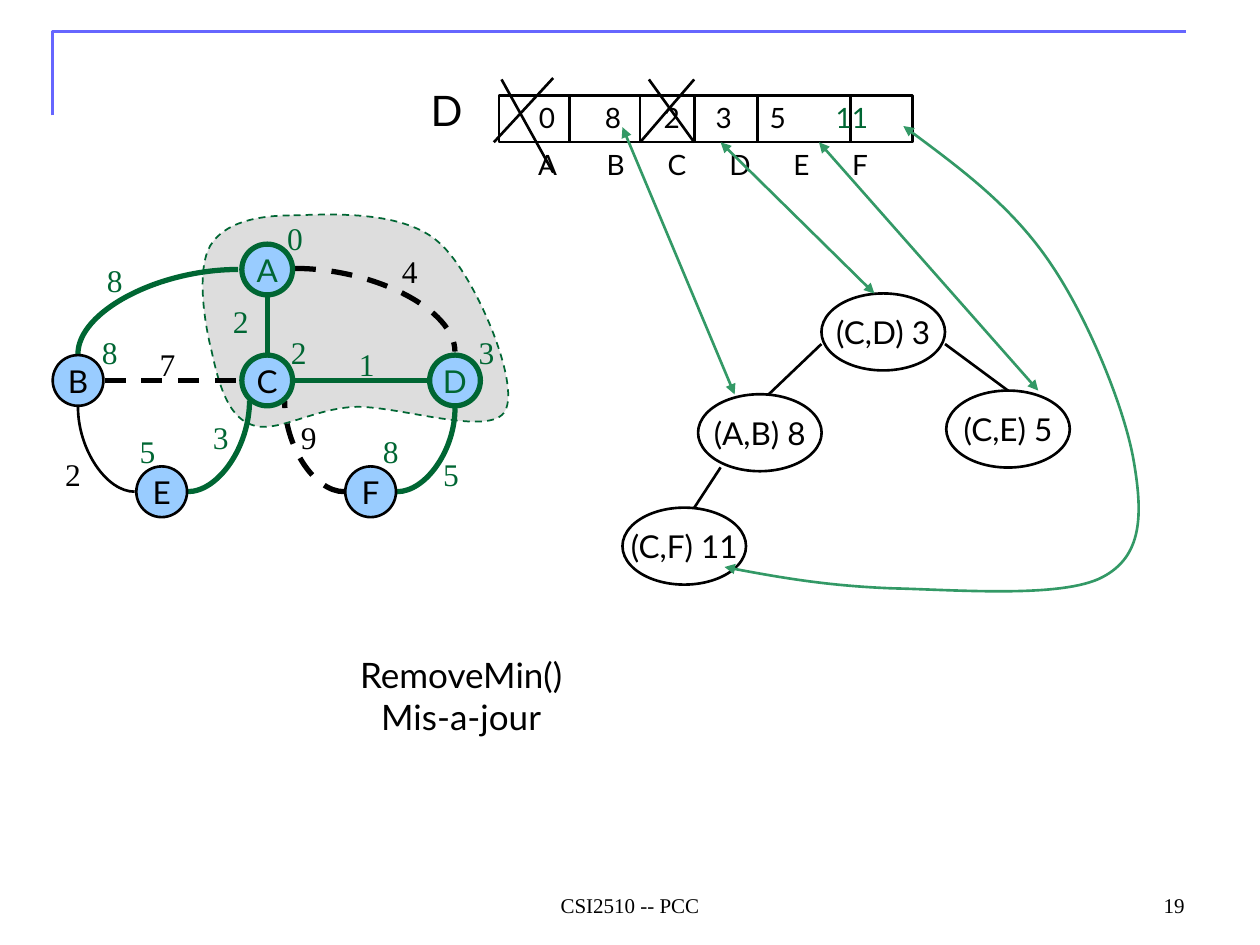
import pptx
import pptx.dml.color
import pptx.enum.dml
import pptx.enum.shapes
import pptx.enum.text
import pptx.oxml.ns
import pptx.util
from lxml import etree

Pt = pptx.util.Pt
qn = pptx.oxml.ns.qn
ALIGN = pptx.enum.text.PP_ALIGN
ANCHOR = pptx.enum.text.MSO_ANCHOR
SHAPE = pptx.enum.shapes.MSO_SHAPE
CONNECTOR = pptx.enum.shapes.MSO_CONNECTOR

COLORS = {
    "black": "000000",
    "frame": "6666FF",
    "green": "006633",
    "arrow": "339966",
    "node": "99CCFF",
    "cloud": "DDDDDD",
}
SANS = "Lato"
SERIF = "Times New Roman"
NODE_SIZE = 29
HEAP_SIZE = (70.6, 44)
ARRAY_TOP, ARRAY_BOTTOM = 54.7, 81.3


def rgb(color):
    return pptx.dml.color.RGBColor.from_string(COLORS[color])


def style_line(sp, color, width, dashed=False, arrows=False):
    sp.line.color.rgb = rgb(color)
    sp.line.width = Pt(width)
    if dashed:
        sp.line.dash_style = pptx.enum.dml.MSO_LINE.DASH
    if arrows:
        ln = sp.line._get_or_add_ln()
        for end in ("a:headEnd", "a:tailEnd"):
            etree.SubElement(ln, qn(end), type="triangle")


def style_fill(sp, color):
    if color:
        sp.fill.solid()
        sp.fill.fore_color.rgb = rgb(color)
    else:
        sp.fill.background()
    sp.shadow.inherit = False


def add_run(p, text, size, font, color):
    r = p.add_run()
    r.text = text
    r.font.size = Pt(size)
    r.font.name = font
    r.font.color.rgb = rgb(color)


def add_text(shapes, text, box, size, font=SANS, color="black", wrap=False,
             align=ALIGN.CENTER, anchor=ANCHOR.TOP):
    tf = shapes.add_textbox(*map(Pt, box)).text_frame
    tf.word_wrap = wrap
    tf.vertical_anchor = anchor
    for i, line in enumerate(text.split("\n")):
        p = tf.paragraphs[0] if i == 0 else tf.add_paragraph()
        p.alignment = align
        add_run(p, line, size, font, color)


def add_tabbed_row(shapes, left, top, cells):
    tf = shapes.add_textbox(Pt(left), Pt(top), Pt(300), Pt(26.6)).text_frame
    tf.word_wrap = True
    p = tf.paragraphs[0]
    p.alignment = ALIGN.LEFT
    tabs = etree.SubElement(p._p.get_or_add_pPr(), qn("a:tabLst"))
    for text, center, color in cells:
        pos = Pt(center - left) - tf.margin_left
        etree.SubElement(tabs, qn("a:tab"), pos=str(pos), algn="ctr")
    for text, center, color in cells:
        add_run(p, "\t" + text, 16, SANS, color)


def add_ellipse(shapes, text, center, size, color="black", line="black", width=1.5, fill=None):
    (x, y), (w, h) = center, size
    sp = shapes.add_shape(SHAPE.OVAL, Pt(x - w / 2), Pt(y - h / 2), Pt(w), Pt(h))
    style_fill(sp, fill)
    style_line(sp, line, width)
    tf = sp.text_frame
    tf.word_wrap = False
    tf.vertical_anchor = ANCHOR.MIDDLE
    p = tf.paragraphs[0]
    p.alignment = ALIGN.CENTER
    add_run(p, text, 18, SANS, color)


def add_line(shapes, start, end, color="black", width=1.5, dashed=False, arrows=False, curved=False):
    kind = CONNECTOR.CURVE if curved else CONNECTOR.STRAIGHT
    sp = shapes.add_connector(kind, *map(Pt, start + end))
    spPr = sp._element.spPr
    if curved:
        spPr.find(qn("a:prstGeom")).set("prst", "curvedConnector2")
    style_line(sp, color, width, dashed, arrows)
    etree.SubElement(spPr, qn("a:effectLst"))


def add_freeform(shapes, points, color, width, closed=False, curved=False, fill=None, **line):
    pts = [(Pt(x), Pt(y)) for x, y in points]
    fb = shapes.build_freeform(*pts[0])
    fb.add_line_segments(pts[1:], close=closed)
    sp = fb.convert_to_shape()
    if curved:
        segments = list(sp._element.iter(qn("a:lnTo")))[:len(pts) - 1]
        for i in range(0, len(segments), 3):
            first, *rest = segments[i:i + 3]
            first.tag = qn("a:cubicBezTo")
            for segment in rest:
                first.append(segment[0])
                segment.getparent().remove(segment)
    style_fill(sp, fill)
    style_line(sp, color, width, **line)


def add_array(shapes):
    sp = shapes.add_shape(SHAPE.RECTANGLE, Pt(285.1), Pt(ARRAY_TOP), Pt(236.2),
                          Pt(ARRAY_BOTTOM - ARRAY_TOP))
    style_fill(sp, None)
    style_line(sp, "black", 1.5)
    for x in (325.4, 365.8, 396.7, 432.7, 486):
        add_line(shapes, (x, ARRAY_TOP), (x, ARRAY_BOTTOM))
    add_text(shapes, "D", (239, 44.6, 31.7, 36), 24)
    add_tabbed_row(shapes, 211.7, 53.7, [
        ("0", 312.6, "black"), ("8", 350.3, "black"), ("2", 384, "black"),
        ("3", 413.7, "black"), ("5", 444.6, "black"), ("11", 486.9, "green")])
    add_tabbed_row(shapes, 211.7, 80.6, [
        (name, x, "black") for name, x in zip("ABCDEF", (313, 352, 387, 423, 458, 491.5))])
    for start, end in [((286.6, 45.4), (316.1, 98.6)), ((316.1, 44.6), (282.2, 81.3)),
                       ((370.8, 45.4), (396.7, 81.3)), ((396.7, 45.4), (365.8, 81.3))]:
        add_line(shapes, start, end)


def add_heap(shapes):
    for text, center in [("(C,D) 3", (504.7, 189.7)), ("(A,B) 8", (434.2, 247.3)),
                         ("(C,E) 5", (576, 245.2)), ("(C,F) 11", (391, 312.1))]:
        add_ellipse(shapes, text, center, HEAP_SIZE)
    for start, end in [((439.2, 225.4), (469.4, 196.6)), ((540, 196.6), (576, 223.2)),
                       ((396.7, 290.2), (411.8, 267.1))]:
        add_line(shapes, start, end)
    for start, end in [((468, 81.3), (593.3, 223.2)), ((355.7, 72.7), (419.8, 225.4)),
                       ((411.8, 81.3), (499.7, 167.8))]:
        add_line(shapes, start, end, "arrow", arrows=True)
    add_freeform(shapes, [
        (516.2, 72), (547.2, 95), (578.2, 118.1), (599.8, 149.8),
        (622.1, 182.2), (643, 234), (648, 264.2),
        (653, 293.8), (653, 317.8), (630, 329.8),
        (607, 342), (545.8, 337), (509.8, 336.2),
        (473.8, 334.8), (444.2, 329.8), (414, 324)], "arrow", 1.5, curved=True, arrows=True)


def add_graph(shapes):
    add_freeform(shapes, [
        (167.8, 123.1), (190.1, 122.4), (231.1, 120.2), (251.3, 139),
        (271.4, 157), (297.4, 218.9), (288.7, 234.7),
        (280.8, 250.6), (226.1, 231.1), (201.6, 232.6),
        (177.8, 234), (157, 248.4), (143.3, 242.6),
        (129.6, 237.6), (124.6, 217.4), (121, 200.9),
        (116.6, 183.6), (112.3, 154.1), (120.2, 140.4),
        (128.2, 127.4), (146.2, 123.1), (167.8, 123.1)],
        "green", 1, closed=True, curved=True, fill="cloud", dashed=True)

    for start, end, color, width, dashed, curved in [
            ((136.1, 154), (44.6, 202.3), "green", 3, False, True),
            ((77, 281), (44.6, 232.6), "black", 1.5, False, True),
            ((107.3, 281), (142.6, 229), "green", 3, False, True),
            ((152.7, 169.9), (152.7, 201.6), "green", 3, False, False),
            ((59.8, 217.4), (136.8, 217.4), "black", 3, True, False),
            ((226.8, 281), (260, 233.3), "green", 3, False, True),
            ((168.5, 153.4), (260, 200.9), "black", 3, True, True),
            ((168.5, 217.4), (244.1, 217.4), "green", 3, False, False),
            ((196.6, 281), (162.7, 229), "black", 3, True, True)]:
        add_line(shapes, start, end, color, width, dashed, curved=curved)

    for name, center, color, line, width in [
            ("C", (152.7, 217.4), "black", "green", 3),
            ("B", (44.6, 217.4), "black", "black", 1.5),
            ("A", (152.7, 154), "green", "green", 3),
            ("E", (92.4, 281), "black", "black", 1.5),
            ("D", (260, 217.4), "green", "green", 3),
            ("F", (211.8, 281), "black", "black", 1.5)]:
        add_ellipse(shapes, name, center, (NODE_SIZE, NODE_SIZE), color, line, width, "node")

    labels = {
        "green": [("0", 157, 121.7), ("3", 266.4, 186.5), ("2", 159.1, 186.5),
                  ("8", 51.1, 186.5), ("5", 72.7, 243.4), ("8", 211.7, 243.4),
                  ("8", 54, 145.4), ("1", 198, 193.7), ("5", 246.2, 256.3),
                  ("2", 126, 169.2), ("3", 114.5, 235.4)],
        "black": [("4", 222.5, 140.4), ("7", 84.2, 193.7), ("2", 30.2, 256.3),
                  ("9", 164.9, 235.4)],
    }
    for color, items in labels.items():
        for text, x, y in items:
            add_text(shapes, text, (x, y, 23, 29), 18, SERIF, color)


def main():
    prs = pptx.Presentation()
    prs.slide_width, prs.slide_height = Pt(720), Pt(540)
    s = prs.slides.add_slide(prs.slide_layouts[6])
    add_freeform(s.shapes, [(30, 66), (30, 18), (678, 18)], "frame", 2)
    add_array(s.shapes)
    add_heap(s.shapes)
    add_graph(s.shapes.add_group_shape().shapes)
    add_text(s.shapes, "RemoveMin()\nMis-a-jour", (194.4, 370, 138.2, 55.4), 20)
    add_text(s.shapes, "19", (516, 492, 168, 36), 12, SERIF, wrap=True,
             align=ALIGN.RIGHT, anchor=ANCHOR.BOTTOM)
    add_text(s.shapes, "CSI2510 -- PCC", (246, 492, 228, 36), 12, SERIF, wrap=True,
             anchor=ANCHOR.BOTTOM)
    prs.save("out.pptx")


if __name__ == "__main__":
    main()
